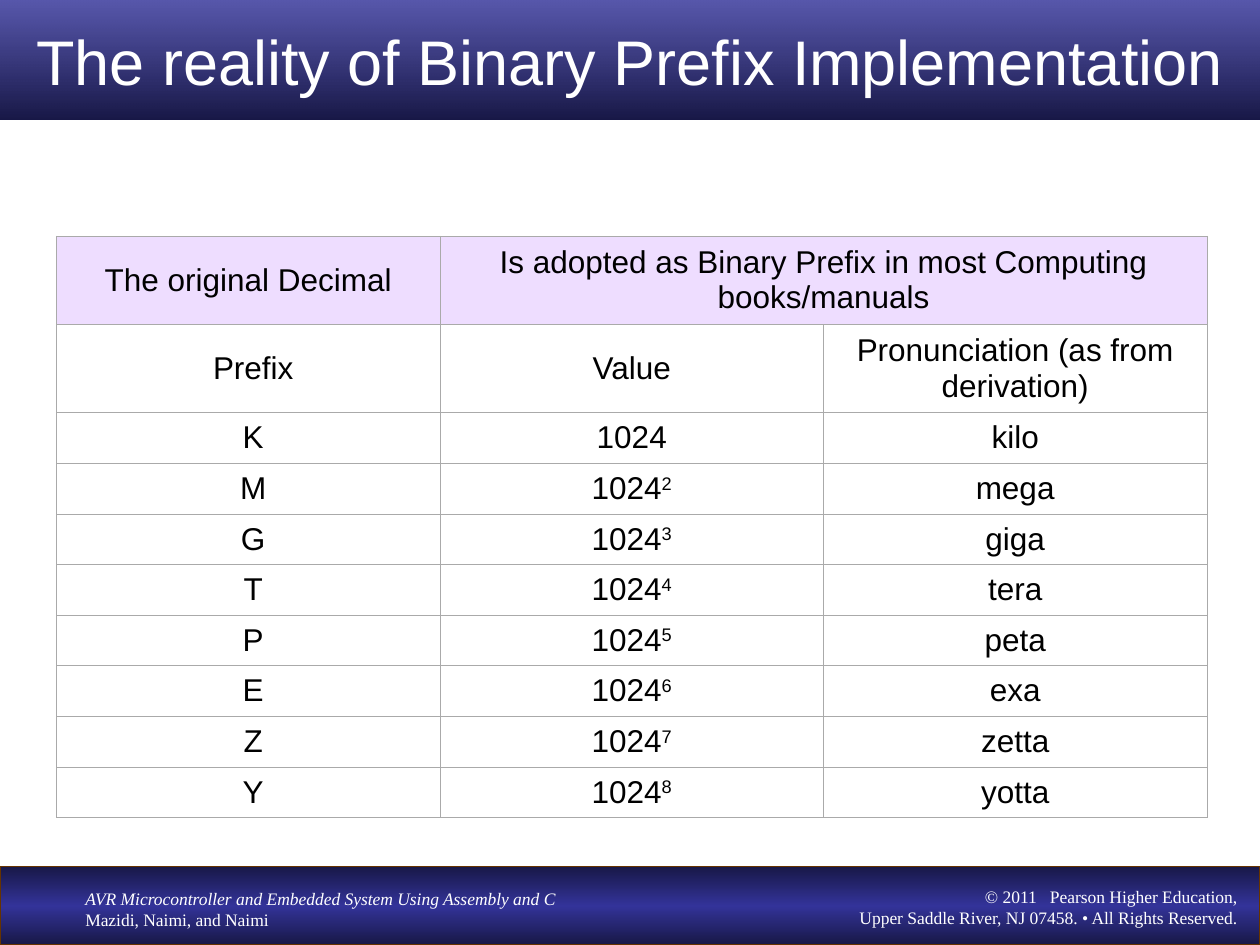
from pptx import Presentation
from pptx.dml.color import RGBColor
from pptx.enum.shapes import MSO_SHAPE
from pptx.enum.text import MSO_ANCHOR, PP_ALIGN
from pptx.oxml import parse_xml
from pptx.oxml.ns import nsdecls
from pptx.util import Cm, Pt

WHITE = RGBColor(0xFF, 0xFF, 0xFF)
BLACK = RGBColor(0, 0, 0)
BLUE = RGBColor(0x33, 0x33, 0x99)
NAVY = RGBColor(0x18, 0x18, 0x47)
BROWN = RGBColor(0x66, 0x33, 0x00)
LILAC = RGBColor(0xEE, 0xDD, 0xFF)
GREY = RGBColor(0xAA, 0xAA, 0xAA)


def write(frame, text, power="", size=18, face="Arial", color=BLACK,
          align=PP_ALIGN.CENTER, italic=False):
    """Add a paragraph; power is set as a superscript after the text."""
    para = frame.add_paragraph() if frame.text else frame.paragraphs[0]
    para.text = text
    para.alignment = align
    if power:
        run = para.add_run()
        run.text = power
        run.font._element.set("baseline", "30000")
    for run in para.runs:
        run.font.size = Pt(size)
        run.font.name = face
        run.font.color.rgb = color
        run.font.italic = italic


def add_band(top, height, stops):
    """Add a full-width bar; stops are (percent, colour, opacity percent)."""
    band = slide.shapes.add_shape(
        MSO_SHAPE.RECTANGLE, 0, top, deck.slide_width, height)
    band.shadow.inherit = False
    band.fill.gradient()
    band.fill.gradient_angle = 270
    grad = band.fill.gradient_stops._gsLst
    for stop in list(grad):
        grad.remove(stop)
    for pos, color, alpha in stops:
        grad.append(parse_xml(
            f'<a:gs {nsdecls("a")} pos="{pos * 1000}"><a:srgbClr val="{color}">'
            f'<a:alpha val="{alpha * 1000}"/></a:srgbClr></a:gs>'))
    return band


deck = Presentation()
deck.slide_width, deck.slide_height = Cm(25.4), Cm(19.05)
slide = deck.slides.add_slide(deck.slide_layouts[6])

# Footer
foot = add_band(Cm(17.47), Cm(1.58),
                [(0, NAVY, 100), (50, BLUE, 100), (100, NAVY, 100)])
foot.line.color.rgb = BROWN
foot.line.width = Pt(0.75)

notes = [
    (1.47, 17.78, 10.52, PP_ALIGN.LEFT,
     [("AVR Microcontroller and Embedded System Using Assembly and C", True),
      ("Mazidi, Naimi, and Naimi", False)]),
    (14.6, 17.73, 10.59, PP_ALIGN.RIGHT,
     [("© 2011   Pearson Higher Education,\v"
       "Upper Saddle River, NJ 07458. • All Rights Reserved.", False)]),
]
for left, top, width, align, lines in notes:
    frame = slide.shapes.add_textbox(
        Cm(left), Cm(top), Cm(width), Cm(1.12)).text_frame
    frame.word_wrap = True
    for text, italic in lines:
        write(frame, text, size=10, face="Times New Roman", color=WHITE,
              align=align, italic=italic)

# Title
title = add_band(0, Cm(2.42), [(0, BLUE, 82), (100, NAVY, 100)])
title.line.fill.background()
title.text_frame.vertical_anchor = MSO_ANCHOR.MIDDLE
write(title.text_frame, "The reality of Binary Prefix Implementation",
      size=36, color=WHITE)

# Table
rows = [
    ("The original Decimal",
     "Is adopted as Binary Prefix in most Computing books/manuals", ""),
    ("Prefix", "Value", "Pronunciation (as from derivation)"),
]
names = ["kilo", "mega", "giga", "tera", "peta", "exa", "zetta", "yotta"]
rows += [(name[0].upper(), "1024", name) for name in names]

table = slide.shapes.add_table(
    len(rows), 3, Cm(1.14), Cm(4.76), Cm(23.19), Cm(11.72)).table
table.first_row = table.horz_banding = False
for col in table.columns:
    col.width = Cm(7.73)
table.cell(0, 1).merge(table.cell(0, 2))

for r, texts in enumerate(rows):
    table.rows[r].height = Cm(1.78 if r < 2 else 1.02)
    for c, text in enumerate(texts):
        cell = table.cell(r, c)
        cell.vertical_anchor = MSO_ANCHOR.MIDDLE
        if c == 0 and r > 0:
            cell.margin_left, cell.margin_right = Cm(0.23), Cm(0.03)
        props = cell._tc.get_or_add_tcPr()
        for side in "LRTB":
            props.append(parse_xml(
                f'<a:ln{side} {nsdecls("a")} w="{Pt(0.34)}"><a:solidFill>'
                f'<a:srgbClr val="{GREY}"/></a:solidFill></a:ln{side}>'))
        if r == 0:
            cell.fill.solid()
            cell.fill.fore_color.rgb = LILAC
        else:
            cell.fill.background()
        if text:
            power = str(r - 1) if c == 1 and r > 2 else ""
            write(cell.text_frame, text, power=power)

deck.save("out.pptx")
